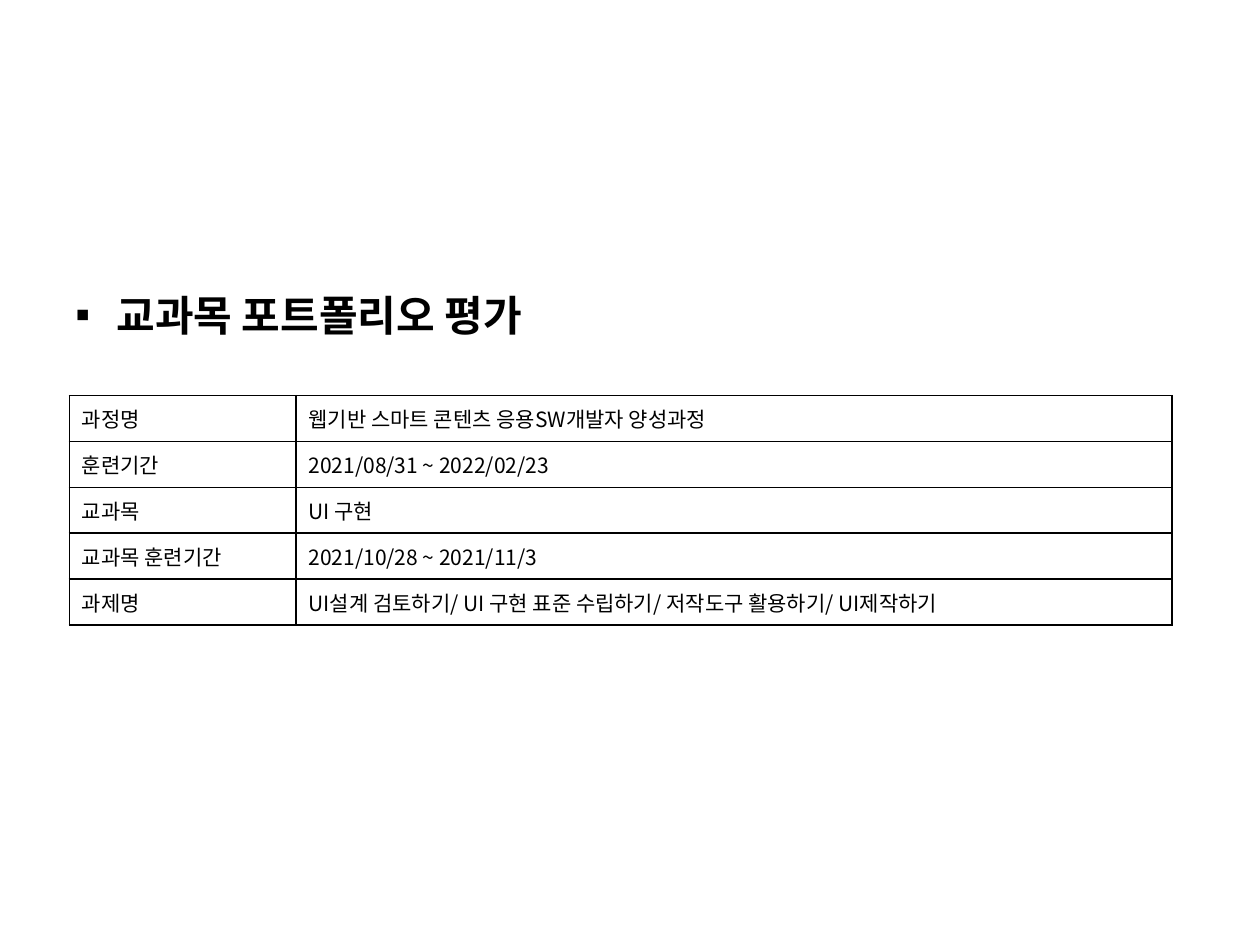
from lxml import etree
from pptx import Presentation
from pptx.dml.color import RGBColor
from pptx.enum.text import MSO_ANCHOR
from pptx.oxml.ns import qn
from pptx.util import Inches, Pt

BLACK = RGBColor(0, 0, 0)
MIDDLE = MSO_ANCHOR.MIDDLE
FONT = "Noto Sans CJK KR"
TITLE_FORMAT = {"name": FONT, "size": Pt(24), "bold": True}
CELL_FORMAT = {"name": FONT, "size": Pt(12), "bold": False}
BORDER_SIDES = ("a:lnL", "a:lnR", "a:lnT", "a:lnB")

COLUMN_WIDTHS = (1.8, 6.95)
TABLE_HEIGHT = 1.82
COURSE_ROWS = (
    ("과정명", "웹기반 스마트 콘텐츠 응용SW개발자 양성과정"),
    ("훈련기간", "2021/08/31 ~ 2022/02/23"),
    ("교과목", "UI 구현"),
    ("교과목 훈련기간", "2021/10/28 ~ 2021/11/3"),
    ("과제명", "UI설계 검토하기/ UI 구현 표준 수립하기/ 저작도구 활용하기/ UI제작하기"),
)


def add_span(para, text, font_format):
    span = para.add_run()
    span.text = text
    for name, value in font_format.items():
        setattr(span.font, name, value)
    span.font.color.rgb = BLACK
    # Korean letters take the East Asian typeface
    properties = span.font._element
    etree.SubElement(properties, qn("a:ea"), typeface=FONT)


def add_bullet(para, char, indent):
    properties = para._p.get_or_add_pPr()
    properties.set("marL", str(indent))
    properties.set("indent", str(-indent))
    etree.SubElement(properties, qn("a:buFont"), typeface="Arial")
    etree.SubElement(properties, qn("a:buChar"), char=char)


def add_title(page, text):
    box = page.shapes.add_textbox(Inches(0.5), Inches(1.87), Inches(9), Inches(1.25))
    frame = box.text_frame
    frame.word_wrap = True
    frame.vertical_anchor = MIDDLE
    para = frame.paragraphs[0]
    add_bullet(para, "▪", Inches(0.25))
    add_span(para, text, TITLE_FORMAT)


def add_borders(cell):
    properties = cell._tc.get_or_add_tcPr()
    for index, side in enumerate(BORDER_SIDES):
        line = etree.Element(qn(side), w=str(Pt(1)))
        fill = etree.SubElement(line, qn("a:solidFill"))
        etree.SubElement(fill, qn("a:srgbClr"), val=str(BLACK))
        properties.insert(index, line)


def add_course_table(page, rows):
    frame = page.shapes.add_table(
        len(rows), len(COLUMN_WIDTHS), Inches(0.55), Inches(3.14),
        Inches(sum(COLUMN_WIDTHS)), Inches(TABLE_HEIGHT))
    table = frame.table
    table.first_row = False
    table.horz_banding = False
    for column, width in zip(table.columns, COLUMN_WIDTHS):
        column.width = Inches(width)
    for row, texts in zip(table.rows, rows):
        row.height = Inches(TABLE_HEIGHT / len(rows))
        for cell, text in zip(row.cells, texts):
            cell.fill.background()
            cell.vertical_anchor = MIDDLE
            add_borders(cell)
            add_span(cell.text_frame.paragraphs[0], text, CELL_FORMAT)


def main():
    deck = Presentation()
    deck.slide_width = Inches(10)
    deck.slide_height = Inches(7.5)
    page = deck.slides.add_slide(deck.slide_layouts[6])

    # Heading
    add_title(page, " 교과목 포트폴리오 평가")

    # Course details
    add_course_table(page, COURSE_ROWS)

    deck.save("out.pptx")


if __name__ == "__main__":
    main()
